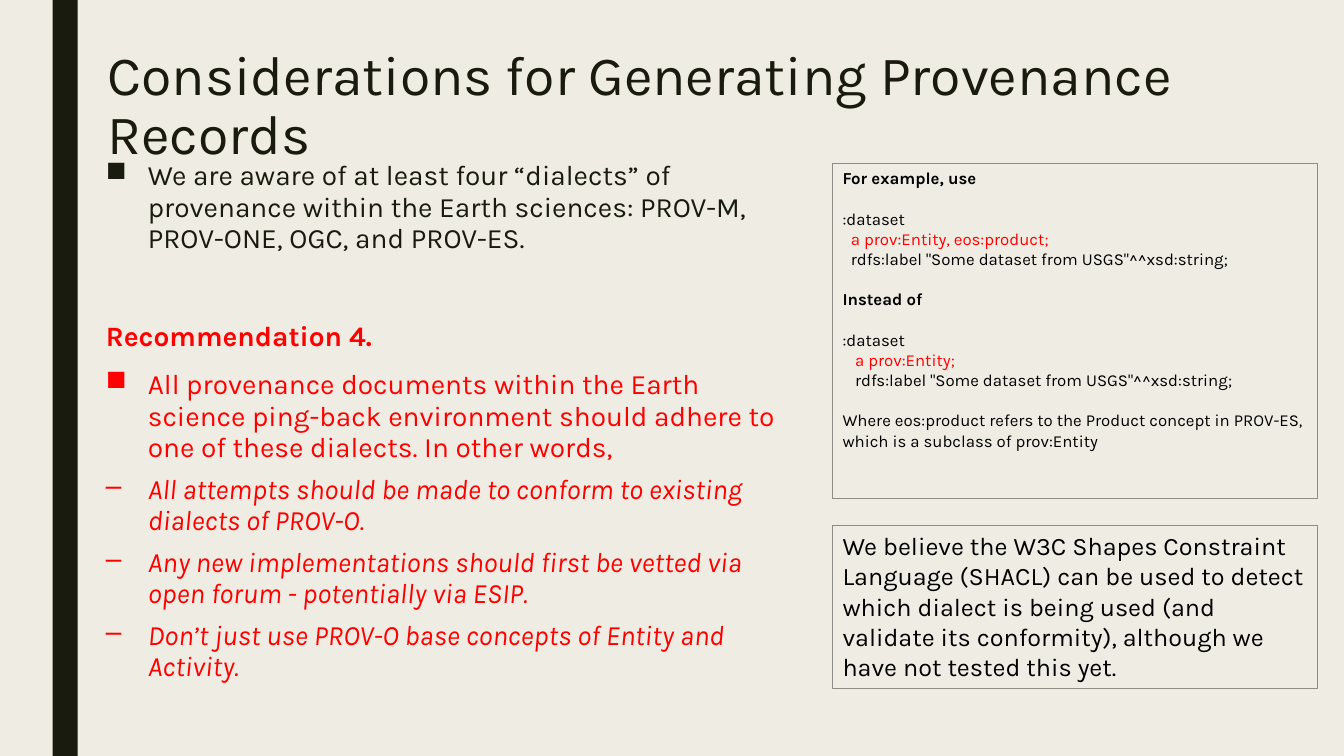
from pptx import Presentation
from pptx.dml.color import RGBColor
from pptx.enum.shapes import MSO_SHAPE as SHAPE
from pptx.enum.text import MSO_ANCHOR as ANCHOR, PP_ALIGN as ALIGN
from pptx.oxml.ns import qn
from pptx.util import Pt
from lxml.etree import SubElement

CREAM = RGBColor(0xEF, 0xED, 0xE3)
DARK = RGBColor(0x19, 0x1B, 0x0E)
RED = RGBColor(0xFF, 0x00, 0x00)
BLACK = RGBColor(0x00, 0x00, 0x00)
GREY = RGBColor(0x8C, 0x8D, 0x86)
FONT = "Karla"
HANG = 30
CODE_GAP = 14.4

POINT = dict(bullet="\u25a0", hang=HANG, space_before=Pt(10))
SUBPOINT = dict(bullet="\u2013", hang=HANG, space_before=Pt(5), color=RED, italic=True)
BODY = [
    ("We are aware of at least four \u201cdialects\u201d of provenance within the "
     "Earth sciences: PROV-M, PROV-ONE, OGC, and PROV-ES.", POINT),
    ("Recommendation 4.", dict(space_before=Pt(45), color=RED, bold=True)),
    ("All provenance documents within the Earth science ping-back environment "
     "should adhere to one of these dialects. In other words,", dict(POINT, color=RED)),
    ("All attempts should be made to conform to existing dialects of PROV-O.", SUBPOINT),
    ("Any new implementations should first be vetted via open forum - "
     "potentially via ESIP.", SUBPOINT),
    ("Don\u2019t just use PROV-O base concepts of Entity and Activity.", SUBPOINT),
]
LABEL = 'rdfs:label "Some dataset from USGS"^^xsd:string;'
EXAMPLES = [("For example, use", "a prov:Entity, eos:product;", 6),
            ("Instead of", "a prov:Entity;", 9)]
EXPLANATION = ("Where eos:product refers to the Product concept in PROV-ES, "
               "which is a subclass of prov:Entity")
SHACL_NOTE = ("We believe the W3C Shapes Constraint Language (SHACL) can be used to "
              "detect which dialect is being used (and validate its conformity), "
              "although we have not tested this yet.")


def set_attrs(obj, values):
    """Set each attribute of obj from a dict."""
    for name, value in values.items():
        setattr(obj, name, value)


def write(tf, paragraphs, size, color, **common):
    """Fill a text frame with (text, format) paragraphs."""
    set_attrs(tf, dict(word_wrap=True, vertical_anchor=ANCHOR.TOP))
    for i, (text, fmt) in enumerate(paragraphs):
        fmt = dict(common, **fmt)
        p = tf.paragraphs[0] if i == 0 else tf.add_paragraph()
        r = p.add_run()
        r.text = text
        r.font.color.rgb = fmt.pop("color", color)
        set_attrs(r.font, dict(name=FONT, size=Pt(size), bold=fmt.pop("bold", False),
                               italic=fmt.pop("italic", False)))
        bullet, hang, left = (fmt.pop(key, None) for key in ("bullet", "hang", "left"))
        set_attrs(p, dict(fmt, alignment=ALIGN.LEFT))
        pPr = p._p.get_or_add_pPr()
        if hang or left:
            pPr.set("marL", str(Pt(hang or left)))
        if bullet:
            pPr.set("indent", str(-Pt(hang)))
            SubElement(pPr, qn("a:buChar")).set("char", bullet)


def add_rect(s, box, fill=None, line=None):
    """Add a flat rectangle with an optional fill and outline."""
    sp = s.shapes.add_shape(SHAPE.RECTANGLE, *map(Pt, box))
    sp.shadow.inherit = False
    for part, color in ((sp.fill, fill), (sp.line.fill, line)):
        if color is None:
            part.background()
        else:
            part.solid()
            part.fore_color.rgb = color
    if line is not None:
        sp.line.width = Pt(0.75)
    return sp


def add_backdrop(s, box):
    """Colour the background and add the dark side band."""
    s.background.fill.solid()
    s.background.fill.fore_color.rgb = CREAM
    add_rect(s, box, fill=DARK)


def add_title(s, box):
    """Add the slide title."""
    tf = s.shapes.add_textbox(*map(Pt, box)).text_frame
    write(tf, [("Considerations for Generating Provenance Records", {})],
          39.6, DARK, line_spacing=0.89)


def add_body(s, box):
    """Add the bullets and the recommendation."""
    tf = s.shapes.add_textbox(*map(Pt, box)).text_frame
    write(tf, BODY, 20, DARK, line_spacing=0.94, space_after=Pt(2))


def add_side_column(s, box, code_height, note_height):
    """Add the code example at the top of the box and the note at its bottom."""
    x, y, w, h = box
    gap = dict(space_before=Pt(CODE_GAP))
    lines = []
    for heading, declaration, indent in EXAMPLES:
        lines += [(heading, dict(gap if lines else {}, bold=True)),
                  (":dataset", gap),
                  (declaration, dict(left=indent, color=RED)),
                  (LABEL, dict(left=indent))]
    lines.append((EXPLANATION, gap))
    code = add_rect(s, (x, y, w, code_height), line=GREY)
    write(code.text_frame, lines, 12, BLACK)
    note = add_rect(s, (x, y + h - note_height, w, note_height), line=GREY)
    write(note.text_frame, [(SHACL_NOTE, {})], 18, BLACK)


def build():
    """Build and save the slide."""
    prs = Presentation()
    set_attrs(prs, dict(slide_width=Pt(960), slide_height=Pt(540)))
    s = prs.slides.add_slide(prs.slide_layouts[6])
    add_backdrop(s, (37.5, 0, 18, 540))
    add_title(s, (69.8, 31, 872, 70))
    add_body(s, (68.5, 111, 502, 407.5))
    add_side_column(s, (594.7, 116.6, 346.3, 375.4), 239.4, 116.6)
    prs.save("out.pptx")


build()
